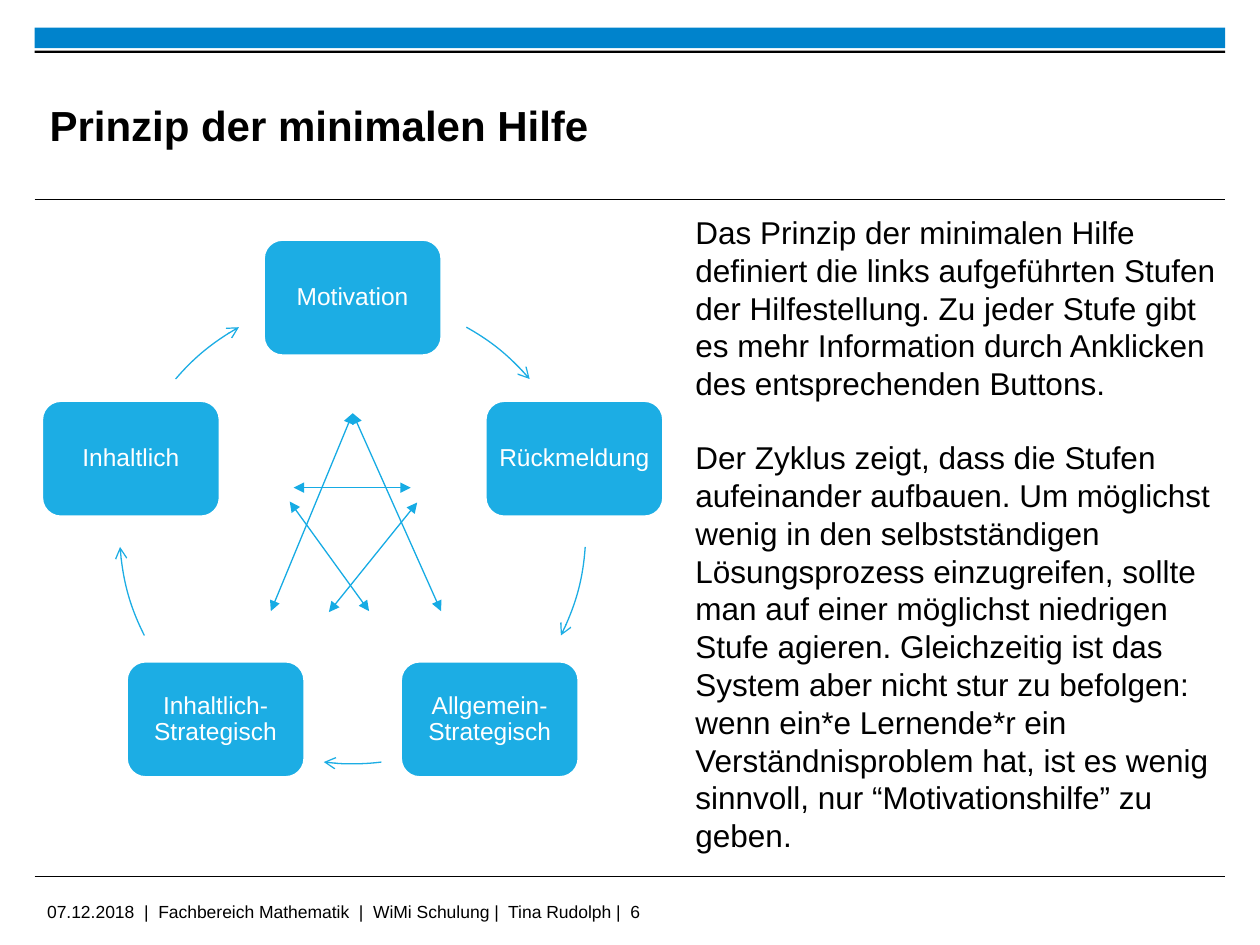
"""Builds the slide on the principle of minimal help with its cycle of help levels."""
import math
from dataclasses import dataclass

import pptx
import pptx.dml.color
import pptx.enum.shapes
import pptx.enum.text
import pptx.oxml.ns
import pptx.util
from lxml import etree

Cm = pptx.util.Cm
Pt = pptx.util.Pt
SHAPE = pptx.enum.shapes.MSO_SHAPE
ANCHOR = pptx.enum.text.MSO_ANCHOR
ALIGN = pptx.enum.text.PP_ALIGN
qn = pptx.oxml.ns.qn


@dataclass(frozen=True)
class Theme:
    font: str = "Arial"
    black: pptx.dml.color.RGBColor = pptx.dml.color.RGBColor.from_string("000000")
    white: pptx.dml.color.RGBColor = pptx.dml.color.RGBColor.from_string("FFFFFF")
    bar: pptx.dml.color.RGBColor = pptx.dml.color.RGBColor.from_string("0083CC")
    node: pptx.dml.color.RGBColor = pptx.dml.color.RGBColor.from_string("1CADE4")
    link: pptx.dml.color.RGBColor = pptx.dml.color.RGBColor.from_string("16ABE4")
    title_size: int = 24
    body_size: int = 18
    node_size: int = 14
    footer_size: int = 10


theme = Theme()


def add_run(paragraph, text, size, color, bold=False):
    run = paragraph.add_run()
    run.text = text
    run.font.name = theme.font
    run.font.size = Pt(size)
    run.font.color.rgb = color
    run.font.bold = bold


def style_line(shape, color, width, head=None, tail=None):
    shape.line.color.rgb = color
    shape.line.width = Pt(width)
    properties = shape.element.spPr
    for tag, arrow in (("a:headEnd", head), ("a:tailEnd", tail)):
        if arrow:
            etree.SubElement(properties.get_or_add_ln(), qn(tag), type=arrow)
    etree.SubElement(properties, qn("a:effectLst"))


presentation = pptx.Presentation()
presentation.slide_width = Cm(25.4)
presentation.slide_height = Cm(19.05)
slide = presentation.slides.add_slide(presentation.slide_layouts[6])
shapes = slide.shapes

for top, height, color in ((0.56, 0.41, theme.bar), (1.02, 0.05, theme.black)):
    bar = shapes.add_shape(SHAPE.RECTANGLE, Cm(0.7), Cm(top), Cm(24), Cm(height))
    bar.shadow.inherit = False
    bar.fill.solid()
    bar.fill.fore_color.rgb = color
    bar.line.fill.background()

for y in (4.03, 17.66):
    rule = shapes.add_connector(
        pptx.enum.shapes.MSO_CONNECTOR.STRAIGHT, Cm(0.7), Cm(y), Cm(24.7), Cm(y))
    style_line(rule, theme.black, 0.6)

footer = shapes.add_textbox(Cm(0.7), Cm(18.03), Cm(20), Cm(0.64)).text_frame
footer.word_wrap = True
add_run(footer.paragraphs[0],
        "07.12.2018  |  Fachbereich Mathematik  |  WiMi Schulung |  Tina Rudolph |  6",
        theme.footer_size, theme.black)

title = shapes.add_textbox(Cm(1), Cm(1.35), Cm(18.44), Cm(2.34)).text_frame
title.word_wrap = True
title.vertical_anchor = ANCHOR.MIDDLE
title.margin_left = title.margin_right = title.margin_top = title.margin_bottom = 0
add_run(title.paragraphs[0], "Prinzip der minimalen Hilfe",
        theme.title_size, theme.black, bold=True)

center_x, center_y, radius = 7.11, 10.7, 4.7
node_width, node_height = 3.61, 2.36
levels = (
    ("Motivation", 299.2, 319.4),
    ("Rückmeldung", 4, 26.7),
    ("Allgemein-Strategisch", 82.9, 97.1),
    ("Inhaltlich-Strategisch", 153.3, 176),
    ("Inhaltlich", 220.6, 240.8),
)
for index, (label, arc_start, arc_end) in enumerate(levels):
    angle = math.radians(index * 360 / len(levels) - 90)
    node = shapes.add_shape(
        SHAPE.ROUNDED_RECTANGLE,
        Cm(center_x + radius * math.cos(angle) - node_width / 2),
        Cm(center_y + radius * math.sin(angle) - node_height / 2),
        Cm(node_width), Cm(node_height))
    node.fill.solid()
    node.fill.fore_color.rgb = theme.node
    style_line(node, theme.white, 2)
    frame = node.text_frame
    frame.word_wrap = True
    frame.vertical_anchor = ANCHOR.MIDDLE
    frame.margin_left = frame.margin_right = Cm(0.15)
    frame.margin_top = frame.margin_bottom = Cm(0.15)
    paragraph = frame.paragraphs[0]
    paragraph.alignment = ALIGN.CENTER
    paragraph.line_spacing = 0.9
    add_run(paragraph, label, theme.node_size, theme.white)

    arc = shapes.add_shape(
        SHAPE.ARC, Cm(center_x - radius), Cm(center_y - radius),
        Cm(2 * radius), Cm(2 * radius))
    arc.adjustments[0] = arc_start * 0.6
    arc.adjustments[1] = arc_end * 0.6
    arc.fill.background()
    style_line(arc, theme.node, 0.75, tail="arrow")

links = (
    (5.92, 9.83, 8.28, 9.83),
    (5.84, 10.11, 7.44, 12.32),
    (6.63, 12.34, 8.41, 10.13),
    (7.11, 8.33, 8.89, 12.32),
    (5.46, 12.32, 7.11, 8.33),
)
for ends in links:
    link = shapes.add_connector(
        pptx.enum.shapes.MSO_CONNECTOR.STRAIGHT, *(Cm(value) for value in ends))
    style_line(link, theme.link, 0.75, head="triangle", tail="triangle")

body = shapes.add_textbox(Cm(13.77), Cm(4.17), Cm(11.18), Cm(13.34)).text_frame
body.word_wrap = True
explanation = body.paragraphs[0]
explanation.space_after = Pt(20.7)
add_run(explanation,
        "Das Prinzip der minimalen Hilfe definiert die links aufgeführten Stufen der "
        "Hilfestellung. Zu jeder Stufe gibt es mehr Information durch Anklicken des "
        "entsprechenden Buttons.", theme.body_size, theme.black)
add_run(body.add_paragraph(),
        "Der Zyklus zeigt, dass die Stufen aufeinander aufbauen. Um möglichst wenig in "
        "den selbstständigen Lösungsprozess einzugreifen, sollte man auf einer möglichst "
        "niedrigen Stufe agieren. Gleichzeitig ist das System aber nicht stur zu "
        "befolgen: wenn ein*e Lernende*r ein Verständnisproblem hat, ist es wenig "
        "sinnvoll, nur “Motivationshilfe” zu geben.", theme.body_size, theme.black)

presentation.save("out.pptx")
